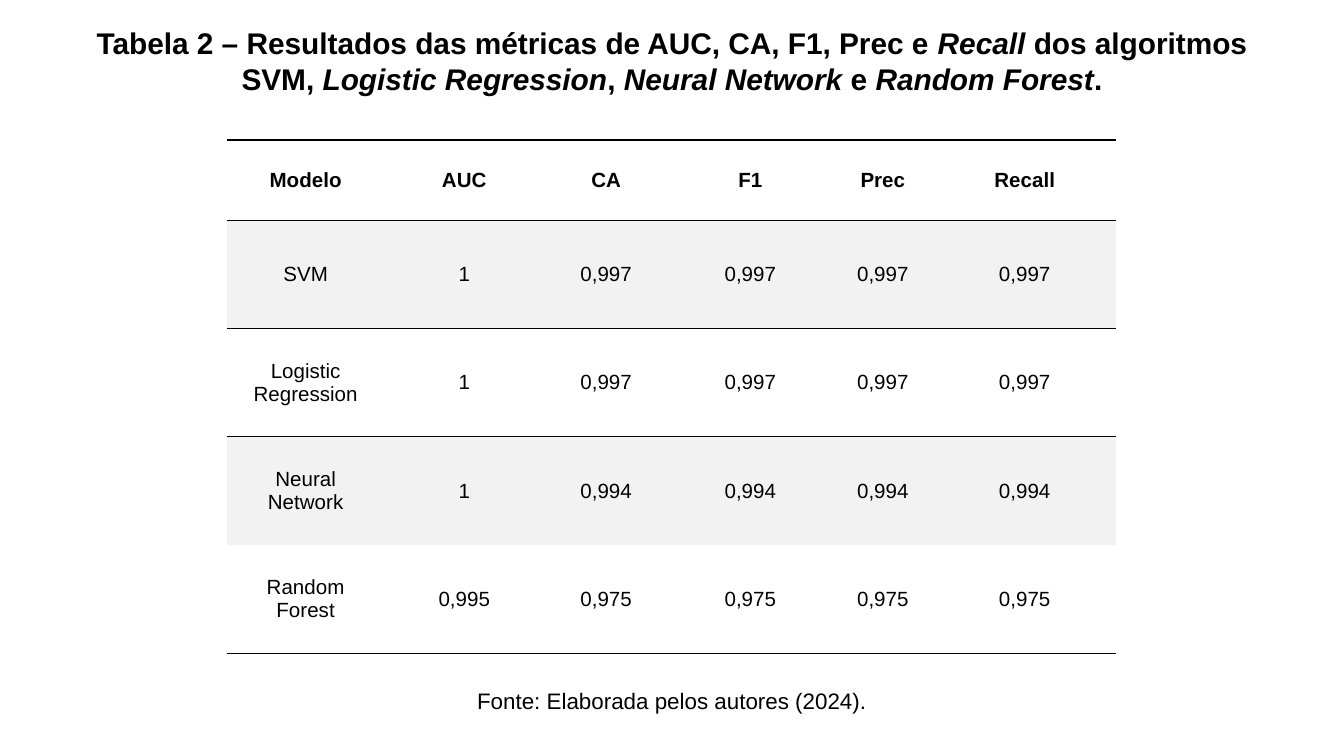
from dataclasses import dataclass

from lxml.etree import SubElement
from pptx import Presentation
from pptx.dml.color import RGBColor
from pptx.enum.text import MSO_ANCHOR, MSO_AUTO_SIZE, PP_ALIGN
from pptx.oxml.ns import qn
from pptx.util import Pt

# Title runs: (text, italic)
TITLE = [
    ("Tabela 2 – Resultados das métricas de AUC, CA, F1, Prec e ", False),
    ("Recall ", True),
    ("dos algoritmos SVM, ", False),
    ("Logistic Regression", True),
    (", ", False),
    ("Neural Network", True),
    (" e ", False),
    ("Random Forest", True),
    (".", False),
]
RESULTS = [
    ("Modelo", "AUC", "CA", "F1", "Prec", "Recall"),
    ("SVM", "1", "0,997", "0,997", "0,997", "0,997"),
    ("Logistic Regression", "1", "0,997", "0,997", "0,997", "0,997"),
    ("Neural Network", "1", "0,994", "0,994", "0,994", "0,994"),
    ("Random Forest", "0,995", "0,975", "0,975", "0,975", "0,975"),
]
SOURCE = "Fonte: Elaborada pelos autores (2024)."

COLUMN_WIDTHS = [101, 69, 83, 71.5, 70.5, 81.5]
HEADER_HEIGHT, ROW_HEIGHT = 43, 58
RULED_EDGES = {0, 1, 2, len(RESULTS)}  # row edges that carry a line
PADDING = 7.2
CELL_INDENTS = {"marL": 5, "marR": 21.5}
NO_TABLE_STYLE = "{2D5ABB26-0587-4C30-8999-92F81FD0307C}"


@dataclass(frozen=True)
class Theme:
    font: str = "Arial"
    ink: str = "000000"
    band: str = "F2F2F2"
    title_size: float = 16
    cell_size: float = 11
    source_size: float = 12
    rule_width: float = 0.75


THEME = Theme()


def write(frame, runs, *, size, bold=False):
    """Fill a text frame with one centred paragraph of (text, italic) runs."""
    para = frame.paragraphs[0]
    para.alignment = PP_ALIGN.CENTER
    para.line_spacing = 1.0
    para.space_before = para.space_after = Pt(0)
    for text, italic in runs:
        span = para.add_run()
        span.text = text
        span.font.name = THEME.font
        span.font.size = Pt(size)
        span.font.bold = bold
        span.font.italic = italic
        span.font.color.rgb = RGBColor.from_string(THEME.ink)
    return para


def place(box, left, top, width, height, *, anchor):
    box.left, box.top, box.width, box.height = map(Pt, (left, top, width, height))
    frame = box.text_frame
    frame.word_wrap = True
    frame.auto_size = MSO_AUTO_SIZE.SHAPE_TO_FIT_TEXT
    frame.vertical_anchor = anchor
    pad(frame)
    return frame


def pad(holder):
    holder.margin_left = holder.margin_right = Pt(PADDING)
    holder.margin_top = holder.margin_bottom = Pt(PADDING)


def rule(cell, side):
    line = SubElement(cell._tc.get_or_add_tcPr(), qn(f"a:{side}"), w=str(Pt(THEME.rule_width)))
    fill = SubElement(line, qn("a:solidFill"))
    SubElement(fill, qn("a:srgbClr"), val=THEME.ink)


def format_cell(cell, text, row):
    for side, edge in (("lnT", row), ("lnB", row + 1)):
        if edge in RULED_EDGES:
            rule(cell, side)
    if row % 2:
        cell.fill.solid()
        cell.fill.fore_color.rgb = RGBColor.from_string(THEME.band)
    else:
        cell.fill.background()
    pad(cell)
    cell.vertical_anchor = MSO_ANCHOR.MIDDLE
    para = write(cell.text_frame, [(text, False)], size=THEME.cell_size, bold=row == 0)
    for name, indent in CELL_INDENTS.items():
        para._p.get_or_add_pPr().set(name, str(Pt(indent)))


def add_results(page):
    heights = [HEADER_HEIGHT] + [ROW_HEIGHT] * (len(RESULTS) - 1)
    table = page.shapes.add_table(
        len(RESULTS), len(COLUMN_WIDTHS), Pt(121.5), Pt(75),
        Pt(sum(COLUMN_WIDTHS)), Pt(sum(heights)),
    ).table
    table.first_row = table.horz_banding = False
    table._tbl.tblPr.find(qn("a:tableStyleId")).text = NO_TABLE_STYLE
    for column, width in zip(table.columns, COLUMN_WIDTHS):
        column.width = Pt(width)
    for row, (values, height) in enumerate(zip(RESULTS, heights)):
        table.rows[row].height = Pt(height)
        for column, text in enumerate(values):
            format_cell(table.cell(row, column), text, row)


def main():
    deck = Presentation()
    deck.slide_width, deck.slide_height = Pt(720), Pt(405)
    page = deck.slides.add_slide(deck.slide_layouts[5])

    title = place(page.shapes.title, 24.5, 6, 671, 53, anchor=MSO_ANCHOR.MIDDLE)
    write(title, TITLE, size=THEME.title_size, bold=True)

    add_results(page)

    source_box = page.shapes.add_textbox(0, 0, 0, 0)
    source = place(source_box, 142.5, 361, 435, 29, anchor=MSO_ANCHOR.TOP)
    write(source, [(SOURCE, False)], size=THEME.source_size)

    deck.save("out.pptx")


if __name__ == "__main__":
    main()
